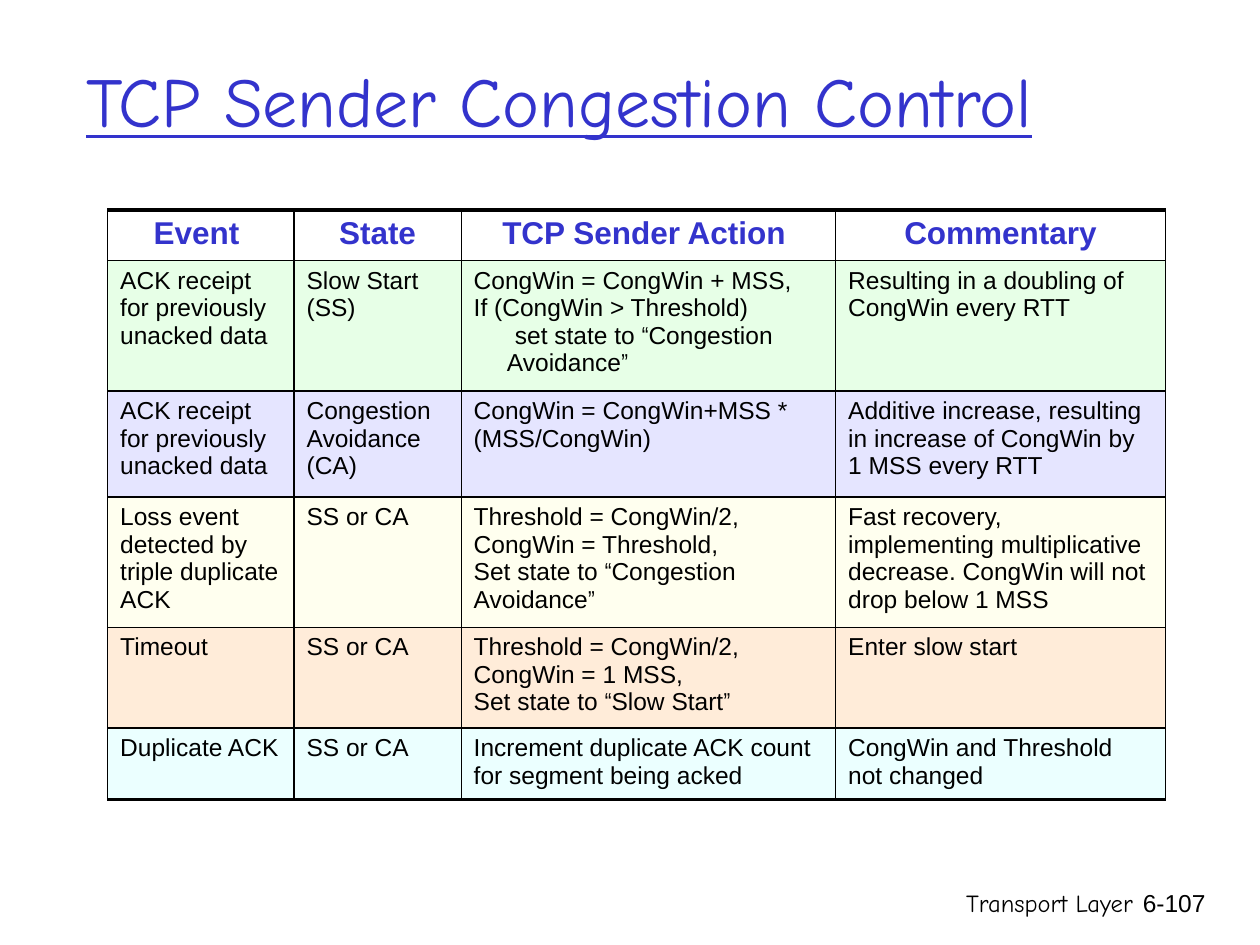
from itertools import groupby

from lxml import etree
from pptx import Presentation
from pptx.dml.color import RGBColor
from pptx.enum.text import MSO_ANCHOR as Anchor, MSO_AUTO_SIZE as AutoSize, PP_ALIGN as Align
from pptx.oxml.ns import qn
from pptx.util import Pt

BLUE = "3333CC"
BLACK = "000000"
COLUMN_WIDTHS = [106.5, 95.5, 214, 188.5]
ROW_HEIGHTS = [29, 74, 60.5, 74.5, 57.5, 41]
ROW_FILLS = [None, "E7FFE7", "E5E5FF", "FFFFEF", "FFECD9", "EBFFFF"]
ROWS = [
    ["Event ", "State", "TCP Sender Action ", "Commentary"],
    ["ACK receipt for previously unacked data",
     "Slow Start (SS)",
     "CongWin = CongWin + MSS,\nIf (CongWin > Threshold)\nset state to “Congestion Avoidance”",
     "Resulting in a doubling of CongWin every RTT"],
    ["ACK receipt for previously unacked data",
     "Congestion\nAvoidance (CA)",
     "CongWin = CongWin+MSS * (MSS/CongWin)",
     "Additive increase, resulting in increase of CongWin by 1 MSS every RTT"],
    ["Loss event detected by triple duplicate ACK",
     "SS or CA",
     "Threshold = CongWin/2,\nCongWin = Threshold,\nSet state to “Congestion Avoidance”",
     "Fast recovery, implementing multiplicative decrease. CongWin will not drop below 1 MSS"],
    ["Timeout",
     "SS or CA",
     "Threshold = CongWin/2,\nCongWin = 1 MSS,\nSet state to “Slow Start”",
     "Enter slow start"],
    ["Duplicate ACK",
     "SS or CA",
     "Increment duplicate ACK count for segment being acked",
     "CongWin and Threshold not changed"],
]


def write_text(frame, text, size=14, color=BLACK, font="Arial", bold=False,
               underline=False, align=Align.LEFT):
    """Fill a text frame, one paragraph a line, with curly quotes in Arial Narrow."""
    frame.word_wrap = True
    for index, line in enumerate(text.split("\n")):
        paragraph = frame.add_paragraph() if index else frame.paragraphs[0]
        paragraph.alignment = align
        for is_quote, characters in groupby(line, lambda character: character in "“”"):
            run = paragraph.add_run()
            run.text = "".join(characters)
            run.font.name = "Arial Narrow" if is_quote else font
            run.font.size = Pt(size)
            run.font.bold = bold
            run.font.underline = underline
            run.font.color.rgb = RGBColor.from_string(color)


def set_borders(cell, top, bottom, side=0.75):
    properties = cell._tc.get_or_add_tcPr()
    widths = {"a:lnL": side, "a:lnR": side, "a:lnT": top, "a:lnB": bottom}
    for position, (tag, width) in enumerate(widths.items()):
        line = etree.Element(qn(tag), w=str(Pt(width)))
        fill = etree.SubElement(line, qn("a:solidFill"))
        etree.SubElement(fill, qn("a:srgbClr"), val=BLACK)
        properties.insert(position, line)


presentation = Presentation()
presentation.slide_width, presentation.slide_height = Pt(720), Pt(540)
slide = presentation.slides.add_slide(presentation.slide_layouts[5])

# Title
title = slide.shapes.title
title.left, title.top, title.width, title.height = Pt(42), Pt(12), Pt(612), Pt(90)
title.text_frame.auto_size = AutoSize.NONE
title.text_frame.vertical_anchor = Anchor.MIDDLE
write_text(title.text_frame, "TCP Sender Congestion Control", size=40, color=BLUE,
           font="Comic Neue", underline=True)

# Footer and slide number
for text, left, width, font in [("Transport Layer", 426, 228.5, "Comic Neue"),
                                ("6-107", 643, 53, "Arial")]:
    box = slide.shapes.add_textbox(Pt(left), Pt(504), Pt(width), Pt(36))
    write_text(box.text_frame, text, font=font, align=Align.RIGHT)

# Table of events
table = slide.shapes.add_table(len(ROWS), len(COLUMN_WIDTHS), Pt(61.5), Pt(120),
                               Pt(sum(COLUMN_WIDTHS)), Pt(sum(ROW_HEIGHTS))).table
table.first_row = table.horz_banding = False
for column, width in zip(table.columns, COLUMN_WIDTHS):
    column.width = Pt(width)
last_row = len(ROWS) - 1
for row_index, (texts, height, fill) in enumerate(zip(ROWS, ROW_HEIGHTS, ROW_FILLS)):
    table.rows[row_index].height = Pt(height)
    for column_index, text in enumerate(texts):
        cell = table.cell(row_index, column_index)
        if row_index == 0:
            cell.fill.background()
            write_text(cell.text_frame, text, size=18, color=BLUE, bold=True, align=Align.CENTER)
        else:
            cell.fill.solid()
            cell.fill.fore_color.rgb = RGBColor.from_string(fill)
            write_text(cell.text_frame, text)
        set_borders(cell, top=2 if row_index == 0 else 1,
                    bottom=2 if row_index == last_row else 1)

# Indent the body of the "If" in the slow start action
if_body = table.cell(1, 2).text_frame.paragraphs[2]._p.get_or_add_pPr()
if_body.set("marL", str(Pt(19)))
if_body.set("indent", str(Pt(4.5)))

presentation.save("out.pptx")
